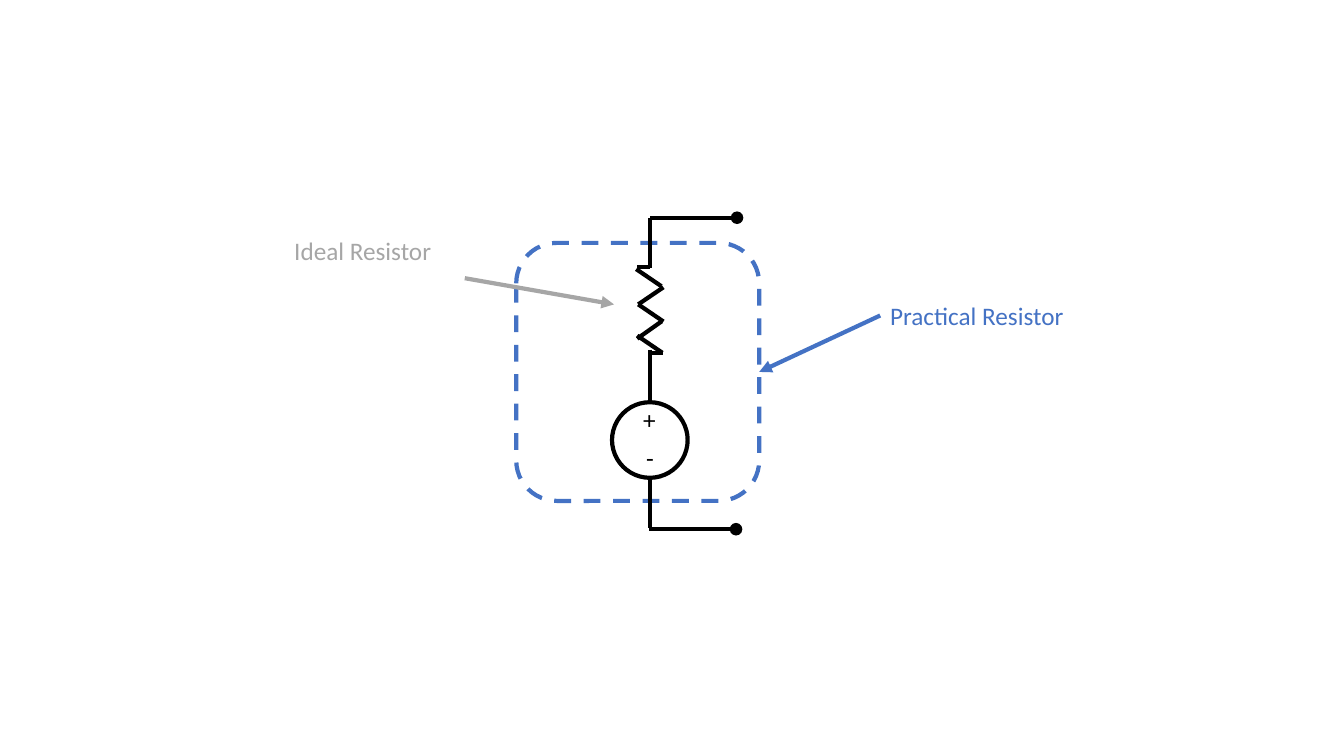
from lxml import etree
from pptx import Presentation
from pptx import util as u
from pptx.dml.color import RGBColor
from pptx.enum import dml, shapes, text
from pptx.oxml.ns import qn

BLACK, BLUE, GREY = "000000", "4472C4", "A6A6A6"
MID = 6.45

BODIES = [
    ("ROUNDED_RECTANGLE", (5.12, 2.41, 2.41, 2.56), BLUE, dml.MSO_LINE.DASH),
    ("OVAL", (6.07, 3.99, 0.75, 0.75), BLACK, None),
]
WIRES = [
    (MID, 2.16, MID, 2.66),
    (6.32, 2.65, MID, 2.65),
    (6.31, 2.67, 6.56, 2.84),
    (6.58, 2.85, 6.33, 3.02),
    (6.33, 3.02, 6.58, 3.19),
    (6.56, 3.19, 6.32, 3.36),
    (6.32, 3.33, 6.57, 3.5),
    (MID, 3.5, 6.58, 3.5),
    (MID, 3.47, MID, 3.97),
    (MID, 4.74, MID, 5.24),
]
LEADS = [(MID, 2.16, 7.31, 2.16), (6.44, 5.25, 7.3, 5.25)]
LABELS = [
    ("+", (6.28, 3.96, 0.33, 0.4), BLACK),
    ("-", (6.31, 4.34, 0.28, 0.4), BLACK),
    ("Ideal Resistor", (2.82, 2.29, 1.57, 0.4), GREY),
    ("Practical Resistor", (8.73, 2.93, 2, 0.4), BLUE),
]
FONT = {"name": "Calibri", "size": u.Pt(18)}
FRAME = {"word_wrap": False, "auto_size": text.MSO_AUTO_SIZE.SHAPE_TO_FIT_TEXT}


def inches(nums):
    return [u.Inches(n) for n in nums]


def put(obj, vals):
    for key, val in vals.items():
        setattr(obj, key, val)


def paint(color, tone):
    color.rgb = RGBColor.from_string(tone)


def stroke(line, tone):
    paint(line.color, tone)
    line.width = u.Pt(3)


def body(slide, kind, box, tone, dash):
    item = slide.shapes.add_shape(shapes.MSO_SHAPE[kind], *inches(box))
    item.shadow.inherit = False
    item.fill.background()
    stroke(item.line, tone)
    if dash:
        item.line.dash_style = dash
    return item


def wire(slide, ends, tone=BLACK, tip=None):
    item = slide.shapes.add_connector(shapes.MSO_CONNECTOR.STRAIGHT, *inches(ends))
    stroke(item.line, tone)
    props = item.element.spPr
    if tip:
        etree.SubElement(props.find(qn("a:ln")), qn("a:tailEnd"), type=tip)
    etree.SubElement(props, qn("a:effectLst"))
    return item


def label(slide, words, box, tone):
    frame = slide.shapes.add_textbox(*inches(box)).text_frame
    put(frame, FRAME)
    run = frame.paragraphs[0].add_run()
    run.text = words
    put(run.font, FONT)
    paint(run.font.color, tone)


def main():
    deck = Presentation()
    put(deck, {"slide_width": u.Inches(13.33), "slide_height": u.Inches(7.5)})
    slide = deck.slides.add_slide(deck.slide_layouts[6])

    case, source = [body(slide, *row) for row in BODIES]
    for ends in WIRES:
        wire(slide, ends)
    for ends in LEADS:
        wire(slide, ends, tip="oval")
    for row in LABELS:
        label(slide, *row)
    wire(slide, (4.61, 2.76, 6.09, 3.02), GREY, "triangle")
    arrow = wire(slide, (8.73, 3.13, 7.53, 3.69), BLUE, "triangle")
    arrow.end_connect(case, 3)

    deck.save("out.pptx")


if __name__ == "__main__":
    main()
